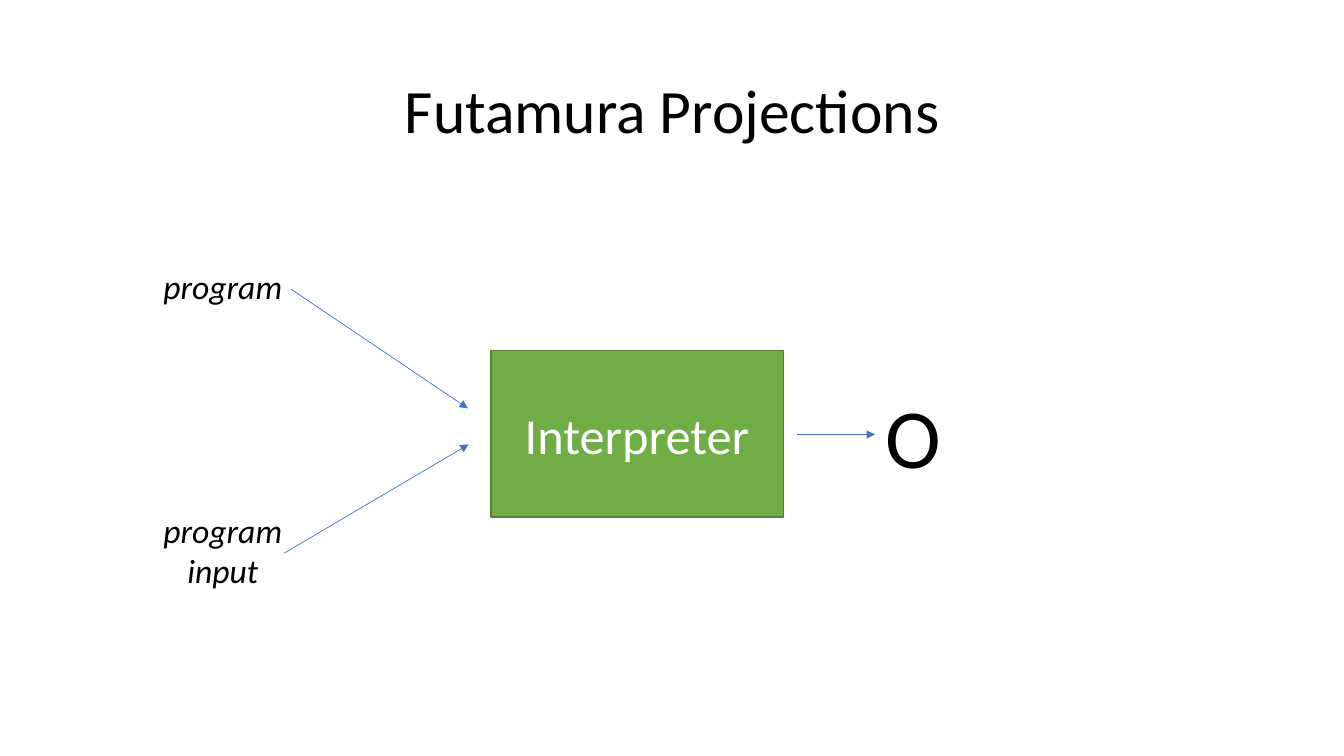
import pptx
import pptx.util
import pptx.dml.color
import pptx.enum.shapes
import pptx.enum.text
import pptx.oxml
import pptx.oxml.ns
from pptx.util import Cm

RGBColor = pptx.dml.color.RGBColor
BLACK = RGBColor(0x00, 0x00, 0x00)
WHITE = RGBColor(0xFF, 0xFF, 0xFF)
GREEN = RGBColor(0x70, 0xAD, 0x47)
EDGE = RGBColor(0x53, 0x80, 0x35)
BLUE = RGBColor(0x44, 0x72, 0xC4)
FONT = "Calibri"
LABEL_W, LABEL_H = 3.91, 4.09


def write(shape, text, size, color=BLACK, italic=False):
    frame = shape.text_frame
    frame.text = text
    frame.word_wrap = True
    frame.vertical_anchor = pptx.enum.text.MSO_ANCHOR.MIDDLE
    line = frame.paragraphs[0]
    line.alignment = pptx.enum.text.PP_ALIGN.CENTER
    font = line.runs[0].font
    font.name = FONT
    font.size = pptx.util.Pt(size)
    font.italic = italic
    font.color.rgb = color


def add_title(slide, text):
    box = slide.shapes.add_textbox(Cm(2.34), Cm(1.02), Cm(29.21), Cm(3.68))
    write(box, text, 44)
    box.text_frame.paragraphs[0].line_spacing = 0.9


def add_label(slide, text, left, top, size=24, italic=True):
    box = slide.shapes.add_textbox(Cm(left), Cm(top), Cm(LABEL_W), Cm(LABEL_H))
    write(box, text, size, italic=italic)


def add_block(slide, text, left, top, width, height):
    block = slide.shapes.add_shape(
        pptx.enum.shapes.MSO_SHAPE.RECTANGLE,
        Cm(left), Cm(top), Cm(width), Cm(height))
    block.shadow.inherit = False
    block.fill.solid()
    block.fill.fore_color.rgb = GREEN
    block.line.color.rgb = EDGE
    block.line.width = pptx.util.Pt(1)
    write(block, text, 36, WHITE)


def add_arrow(slide, start, end):
    arrow = slide.shapes.add_connector(
        pptx.enum.shapes.MSO_CONNECTOR.STRAIGHT,
        *[Cm(value) for value in start + end])
    arrow.line.color.rgb = BLUE
    arrow.line.width = pptx.util.Pt(0.5)
    tail = pptx.oxml.parse_xml(
        f'<a:tailEnd {pptx.oxml.ns.nsdecls("a")} type="triangle"/>')
    arrow.line._get_or_add_ln().append(tail)
    arrow._element.spPr.append(pptx.oxml.parse_xml(
        f'<a:effectLst {pptx.oxml.ns.nsdecls("a")}/>'))


def main():
    deck = pptx.Presentation()
    deck.slide_width = Cm(33.87)
    deck.slide_height = Cm(19.05)
    slide = deck.slides.add_slide(deck.slide_layouts[6])

    add_title(slide, "Futamura Projections")
    add_block(slide, "Interpreter", 12.37, 8.84, 7.37, 4.19)
    add_label(slide, "O", 21.06, 8.92, size=60, italic=False)
    add_label(slide, "program", 3.66, 5.16)
    add_label(slide, "program input", 3.66, 11.81)

    add_arrow(slide, (7.34, 7.29), (11.79, 10.29))
    add_arrow(slide, (7.16, 13.94), (11.81, 11.2))
    add_arrow(slide, (20.09, 10.95), (22.05, 10.95))

    deck.save("out.pptx")


if __name__ == "__main__":
    main()
